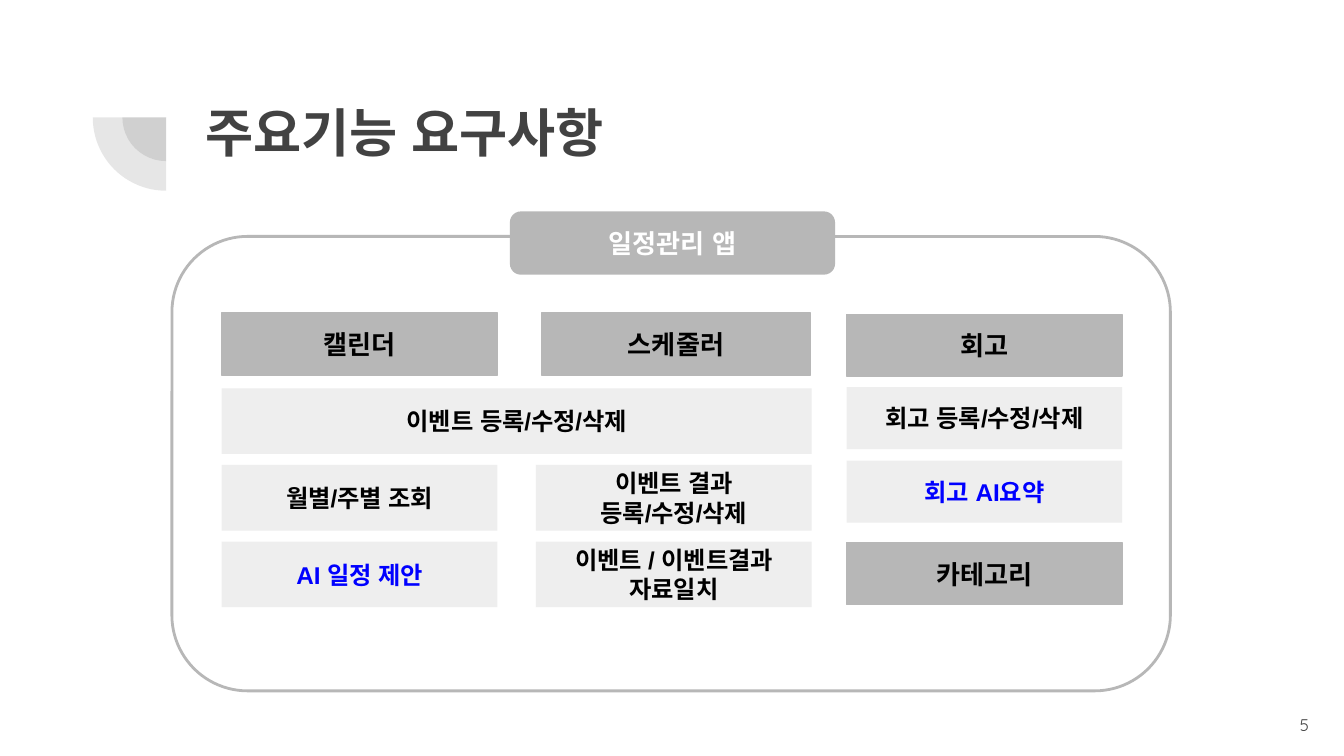
from lxml.etree import SubElement
from pptx import Presentation
from pptx.dml.color import RGBColor
from pptx.enum.shapes import MSO_SHAPE as Shape
from pptx.enum.text import MSO_ANCHOR as Anchor, PP_ALIGN as Align
from pptx.oxml.ns import qn
from pptx.util import Cm, Pt

DARK, GRAY, PALE, BLACK, BLUE, WHITE = (
    "424242", "B7B7B7", "EEEEEE", "000000", "0000FF", "FFFFFF")

TITLE = "주요기능 요구사항"
APP = "일정관리 앱"
PAGE_NUMBER = "5"

CALENDAR_X, SCHEDULER_X, REVIEW_X = 4.19, 10.13, 16.0
COLUMN_W = 5.21
HEADER_H, FEATURE_H, REVIEW_H = 1.17, 1.24, 1.17
HEADER_Y, FEATURE_Y, FEATURE_STEP = 5.92, 7.34, 1.45
REVIEW_Y, REVIEW_STEP = 7.32, 1.39
SHARED_W = SCHEDULER_X + COLUMN_W - CALENDAR_X

HEADERS = [
    ("캘린더", CALENDAR_X, HEADER_Y, COLUMN_W),
    ("스케줄러", 10.24, HEADER_Y, 5.08),
    ("회고", REVIEW_X, 5.94, COLUMN_W),
    ("카테고리", REVIEW_X, 10.26, COLUMN_W),
]
FEATURES = [
    (["이벤트 등록/수정/삭제"], CALENDAR_X, 0, SHARED_W, BLACK),
    (["월별/주별 조회"], CALENDAR_X, 1, COLUMN_W, BLACK),
    (["AI 일정 제안"], CALENDAR_X, 2, COLUMN_W, BLUE),
    (["이벤트 결과 등록/수정/삭제"], SCHEDULER_X, 1, COLUMN_W, BLACK),
    (["이벤트 / 이벤트결과", "자료일치"], SCHEDULER_X, 2, COLUMN_W, BLACK),
]
REVIEWS = [("회고 등록/수정/삭제", BLACK), ("회고 AI요약", BLUE)]
PIE_CENTER, PIE_SIZES = (3.14, 2.22), (1.65, 2.77)


def color(code):
    return RGBColor.from_string(code)


def write(box, lines, size, code, align=Align.CENTER, anchor=Anchor.MIDDLE,
          font="Arial", bold=True):
    frame = box.text_frame
    frame.word_wrap = True
    frame.vertical_anchor = anchor
    frame.margin_left = frame.margin_right = Cm(0.25)
    frame.margin_top = frame.margin_bottom = Cm(0.25)
    for index, line in enumerate(lines):
        para = frame.add_paragraph() if index else frame.paragraphs[0]
        para.alignment = align
        span = para.add_run()
        span.text = line
        span.font.size = Pt(size)
        span.font.bold = bold
        span.font.color.rgb = color(code)
        span.font.name = font
        SubElement(span._r.get_or_add_rPr(), qn("a:ea"), typeface=font)


def add_box(page, kind, left, top, width, height, fill=None, line=None, weight=0.75):
    box = page.shapes.add_shape(kind, Cm(left), Cm(top), Cm(width), Cm(height))
    box.shadow.inherit = False
    if fill:
        box.fill.solid()
        box.fill.fore_color.rgb = color(fill)
    else:
        box.fill.background()
    if line:
        box.line.color.rgb = color(line)
        box.line.width = Pt(weight)
    else:
        box.line.fill.background()
    return box


def add_text(page, left, top, width, height, *args, **options):
    box = page.shapes.add_textbox(Cm(left), Cm(top), Cm(width), Cm(height))
    write(box, *args, **options)


def add_pie(page, size):
    x, y = PIE_CENTER
    pie = add_box(page, Shape.PIE, x - size / 2, y - size / 2, size, size, DARK)
    pie.rotation = 270
    pie.adjustments[0] = 107.93
    pie.adjustments[1] = 162
    tint = pie.fill._xPr.find(qn("a:solidFill"))[0]
    SubElement(tint, qn("a:alpha"), val="13000")


def main():
    deck = Presentation()
    deck.slide_width, deck.slide_height = Cm(25.4), Cm(14.29)
    page = deck.slides.add_slide(deck.slide_layouts[6])

    for size in PIE_SIZES:
        add_pie(page, size)
    add_text(page, 3.63, 1.65, 19.53, 2.77, [TITLE], 28, DARK,
             align=Align.LEFT, anchor=Anchor.TOP)
    add_text(page, 23.47, 13.16, 1.52, 1.09, [PAGE_NUMBER], 9, DARK,
             align=Align.RIGHT, font="Quicksand", bold=False)

    add_box(page, Shape.FLOWCHART_ALTERNATE_PROCESS, 3.25, 4.47, 18.87, 8.59,
            line=GRAY, weight=1.5)
    app = add_box(page, Shape.ROUNDED_RECTANGLE, 9.65, 4.01, 6.12, HEADER_H, GRAY, GRAY)
    write(app, [APP], 14, WHITE)

    for label, left, top, width in HEADERS:
        header = add_box(page, Shape.RECTANGLE, left, top, width, HEADER_H, GRAY, GRAY)
        write(header, [label], 14, BLACK)
    for lines, left, row, width, code in FEATURES:
        feature = add_box(page, Shape.RECTANGLE, left, FEATURE_Y + row * FEATURE_STEP,
                          width, FEATURE_H, PALE)
        write(feature, lines, 13, code)
    for row, (label, code) in enumerate(REVIEWS):
        review = add_box(page, Shape.RECTANGLE, REVIEW_X, REVIEW_Y + row * REVIEW_STEP,
                         COLUMN_W, REVIEW_H, PALE)
        write(review, [label], 13, code)

    deck.save("out.pptx")


if __name__ == "__main__":
    main()
